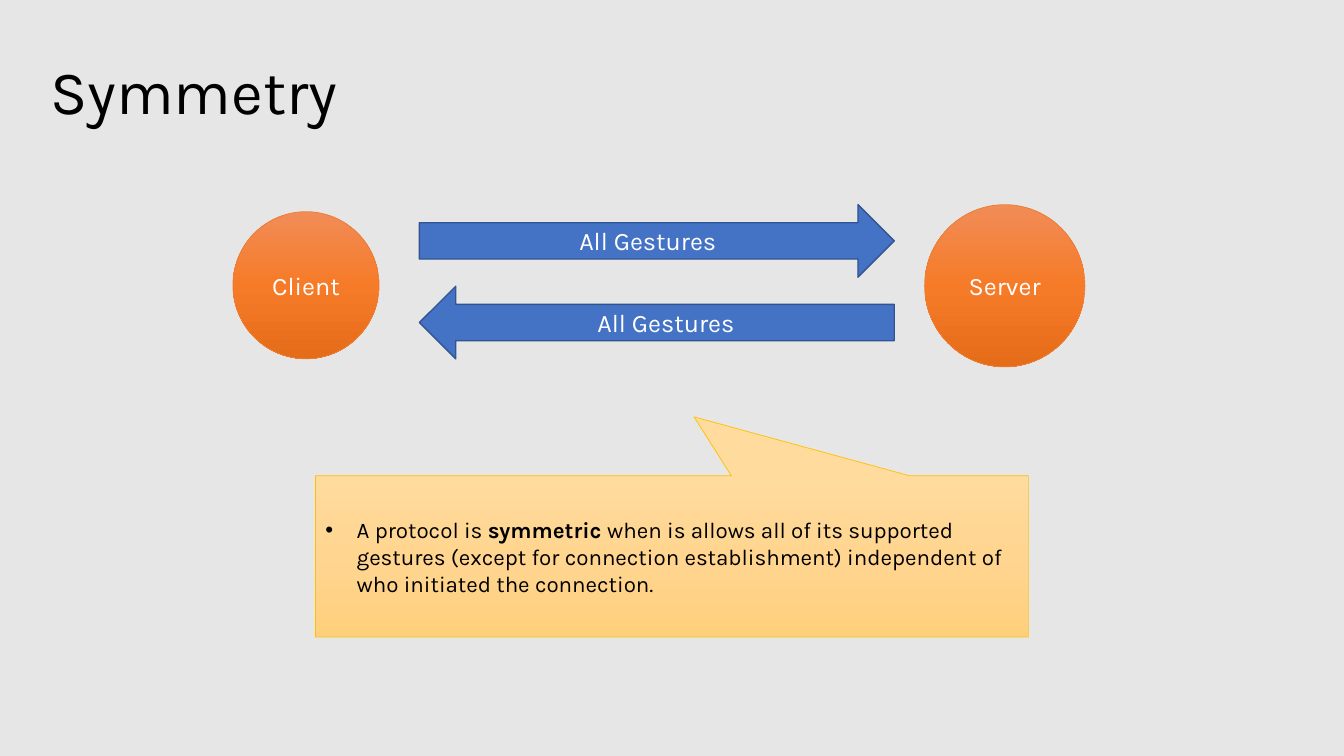
from copy import deepcopy
from dataclasses import dataclass

from lxml.etree import SubElement
from pptx import Presentation
from pptx.dml.color import RGBColor
from pptx.enum.shapes import MSO_SHAPE
from pptx.enum.text import MSO_ANCHOR, PP_ALIGN
from pptx.oxml.ns import qn
from pptx.shapes.autoshape import Shape
from pptx.slide import Slide
from pptx.util import Inches, Pt

FONT = "Karla"
GREY = RGBColor(0xE7, 0xE6, 0xE6)
BLACK = RGBColor(0, 0, 0)
WHITE = RGBColor(0xFF, 0xFF, 0xFF)
BLUE = RGBColor(0x44, 0x72, 0xC4)
NAVY = RGBColor(0x32, 0x54, 0x91)
ORANGE = RGBColor(0xED, 0x7D, 0x31)
GOLD = RGBColor(0xFF, 0xC0, 0x00)
EMBER = (RGBColor(0xF1, 0x8C, 0x57), RGBColor(0xF6, 0x7B, 0x28), RGBColor(0xE5, 0x6C, 0x19))
HONEY = (RGBColor(0xFF, 0xDB, 0x9E), RGBColor(0xFF, 0xD5, 0x90), RGBColor(0xFF, 0xD0, 0x7C))


@dataclass
class Block:
    kind: MSO_SHAPE
    left: float
    top: float
    width: float
    height: float
    fill: tuple[RGBColor, ...]
    line: RGBColor
    weight: float
    text: str = ""


BLOCKS = [
    Block(MSO_SHAPE.OVAL, 2.31, 2.1, 1.45, 1.46, EMBER, ORANGE, 0.5, "Client"),
    Block(MSO_SHAPE.OVAL, 9.17, 2.03, 1.59, 1.61, EMBER, ORANGE, 0.5, "Server"),
    Block(MSO_SHAPE.RIGHT_ARROW, 4.16, 2.03, 4.71, 0.72, (BLUE,), NAVY, 1, "All Gestures"),
    Block(MSO_SHAPE.LEFT_ARROW, 4.16, 2.84, 4.71, 0.72, (BLUE,), NAVY, 1, "All Gestures"),
]
NOTE = Block(MSO_SHAPE.RECTANGULAR_CALLOUT, 3.13, 4.72, 7.07, 1.6, HONEY, GOLD, 0.5)


def paint(shape: Shape, tones: tuple[RGBColor, ...]) -> None:
    if len(tones) == 1:
        shape.fill.solid()
        shape.fill.fore_color.rgb = tones[0]
        return
    shape.fill.gradient()
    shape.fill.gradient_angle = 270
    stops = shape.element.xpath(".//a:gsLst")[0]
    while len(stops) < len(tones):
        stops.append(deepcopy(stops[0]))
    for step, (stop, tone) in enumerate(zip(shape.fill.gradient_stops, tones)):
        stop.position = step / (len(tones) - 1)
        stop.color.rgb = tone


def write(shape: Shape, *parts: str, size: float, color: RGBColor = BLACK,
          align: PP_ALIGN = PP_ALIGN.LEFT, bold: str = "", bullet: bool = False) -> None:
    frame = shape.text_frame
    frame.word_wrap = True
    frame.vertical_anchor = MSO_ANCHOR.MIDDLE
    para = frame.paragraphs[0]
    para.alignment = align
    if bullet:
        props = para._p.get_or_add_pPr()
        props.set("marL", str(Inches(0.31)))
        props.set("indent", str(-Inches(0.31)))
        SubElement(props, qn("a:buFont"), typeface="Arial")
        SubElement(props, qn("a:buChar"), char="•")
    for part in parts:
        run = para.add_run()
        run.text = part
        run.font.name = FONT
        run.font.size = Pt(size)
        run.font.color.rgb = color
        run.font.bold = part == bold


def draw(slide: Slide, block: Block) -> Shape:
    shape = slide.shapes.add_shape(block.kind, Inches(block.left), Inches(block.top),
                                   Inches(block.width), Inches(block.height))
    shape.shadow.inherit = False
    paint(shape, block.fill)
    shape.line.color.rgb = block.line
    shape.line.width = Pt(block.weight)
    return shape


def main() -> None:
    deck = Presentation()
    deck.slide_width, deck.slide_height = Inches(13.33), Inches(7.5)
    slide = deck.slides.add_slide(deck.slide_layouts[6])
    slide.background.fill.solid()
    slide.background.fill.fore_color.rgb = GREY

    title = slide.shapes.add_textbox(Inches(0.5), Inches(0.5), Inches(12.33), Inches(0.78))
    frame = title.text_frame
    frame.margin_left = frame.margin_right = frame.margin_top = frame.margin_bottom = 0
    write(title, "Symmetry", size=44)

    for block in BLOCKS:
        write(draw(slide, block), block.text, size=18, color=WHITE, align=PP_ALIGN.CENTER)

    note = draw(slide, NOTE)
    note.adjustments[0], note.adjustments[1] = 0.031, -0.865
    write(note, "A protocol is ", "symmetric ",
          "when is allows all of its supported gestures (except for connection "
          "establishment) independent of who initiated the connection.",
          size=16, bold="symmetric ", bullet=True)
    deck.save("out.pptx")


if __name__ == "__main__":
    main()
